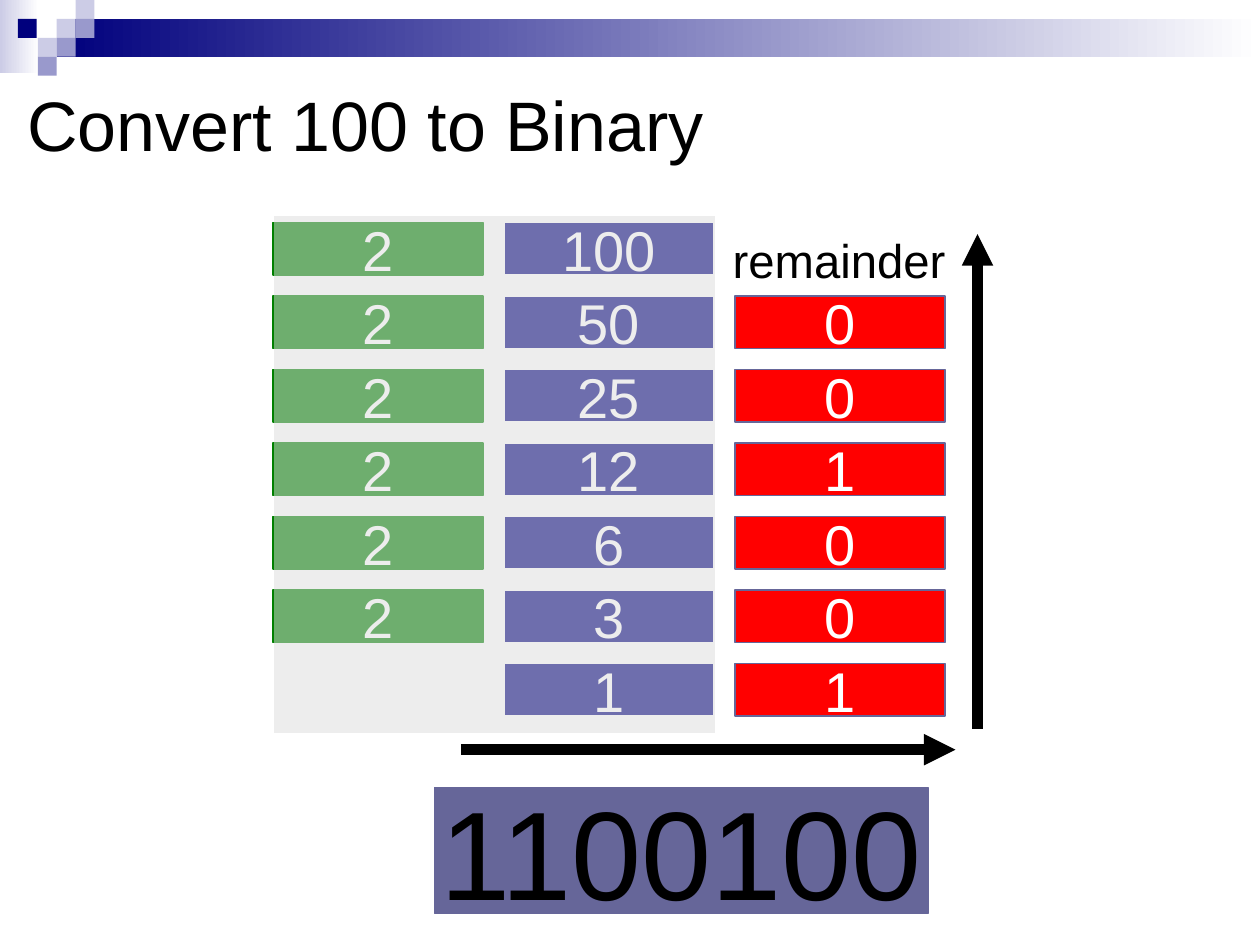
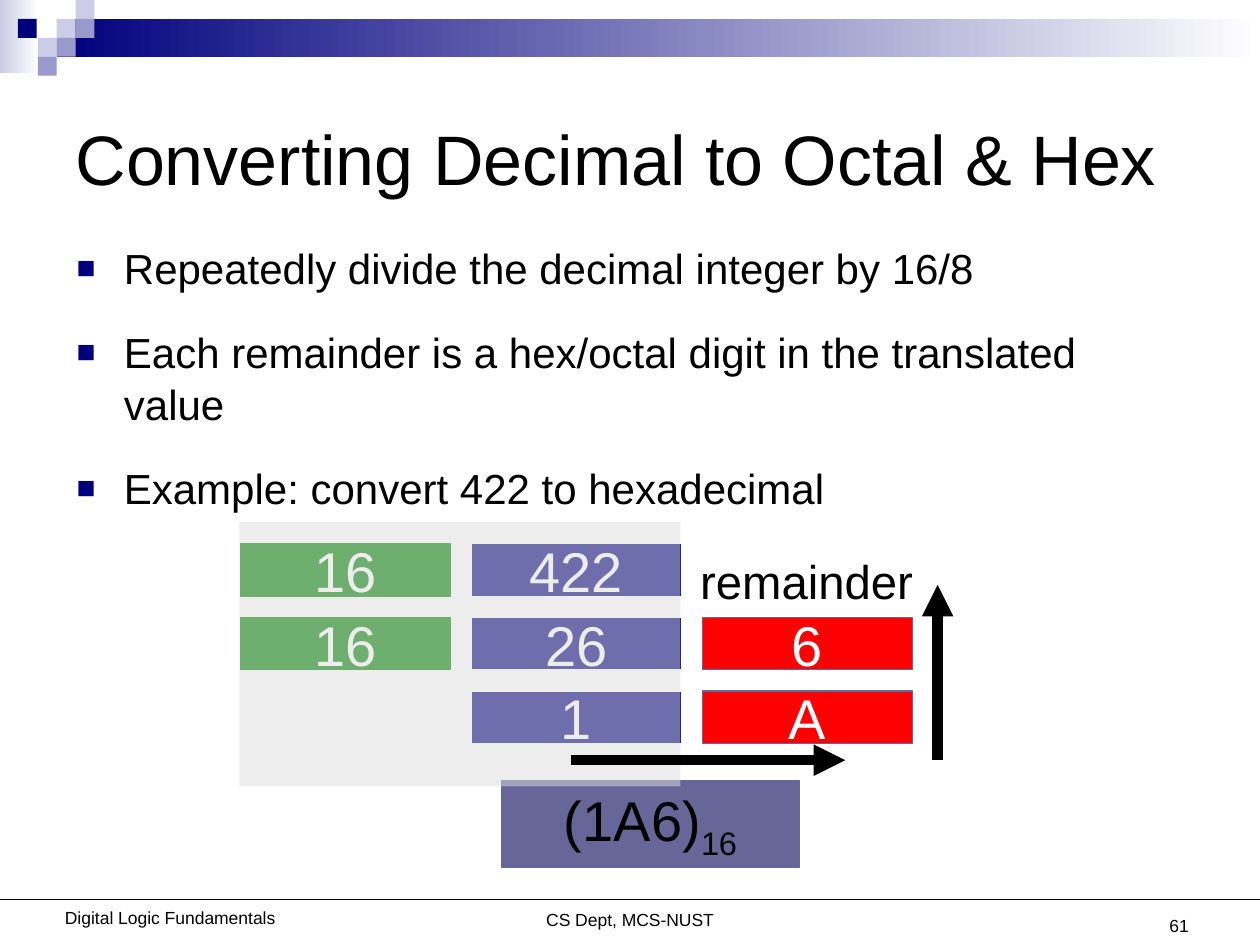
from lxml import etree
from pptx import Presentation
from pptx.dml.color import RGBColor
from pptx.enum.shapes import MSO_CONNECTOR, MSO_SHAPE
from pptx.enum.text import MSO_ANCHOR, MSO_AUTO_SIZE, PP_ALIGN
from pptx.oxml.ns import qn
from pptx.util import Emu, Pt

RECT = MSO_SHAPE.RECTANGLE
LINE = MSO_CONNECTOR.STRAIGHT
LEFT, MID, RIGHT = PP_ALIGN.LEFT, PP_ALIGN.CENTER, PP_ALIGN.RIGHT
PX = 7620  # 120 px to the inch
FONT = "Arial"
DIGITS = "0123456789ABCDEF"
HUES = {
    "navy": "00007D", "lilac": "CCCCE6", "violet": "9999CC", "slate": "666699",
    "green": "008000", "red": "FF0000", "gray": "DDDDDD",
    "white": "FFFFFF", "black": "000000",
}
RGB = {name: RGBColor.from_string(code) for name, code in HUES.items()}

# Decoration: squares on the top band
SIDE = 18
SQUARES = [
    (54, 18, "lilac"), (72, 0, "lilac"), (72, 18, "violet"), (36, 36, "lilac"),
    (17, 18, "navy"), (54, 36, "violet"), (36, 54, "violet"),
]
FADES = [((0, 0, 37, 70), "lilac"), ((54, 18, 1146, 36), "navy")]

# Division grid
CELL_W, CELL_H = 200, 50
COL, ROW = 220, 70

PAGES = [
    {
        "title": "Convert 100 to Binary", "head": (14, 43, 1020, 150),
        "layout": 5, "points": [], "foot": [],
        "number": 100, "base": 2, "grid": (260, 212),
        "veil": (261, 206, 420, 492),
        "result": ("1100100", ""), "size": 72, "panel": (414, 750, 470, 120),
        "arrows": [(439, 714, 910, 714), (931, 694, 931, 223)],
    },
    {
        "title": "Converting Decimal to Octal & Hex", "head": (60, 60, 1080, 180),
        "layout": 1,
        "points": [
            "Repeatedly divide the decimal integer by 16/8",
            "Each remainder is a hex/octal digit in the translated value",
            "Example: convert 422 to hexadecimal",
        ],
        "foot": [
            ("Digital Logic Fundamentals", (42, 858, 240, 32), MID),
            ("CS Dept, MCS-NUST", (350, 860, 500, 32), MID),
            ("61", (864, 866, 280, 32), RIGHT),
        ],
        "number": 422, "base": 16, "grid": (229, 518),
        "veil": (228, 497, 420, 252),
        "result": ("(1A6)", "16"), "size": 32, "panel": (478, 743, 283, 83),
        "arrows": [(544, 724, 805, 724), (893, 724, 893, 557)],
    },
]


def box(slide, place, fill, edge=None):
    shape = slide.shapes.add_shape(RECT, *[Emu(n * PX) for n in place])
    shape.shadow.inherit = False
    shape.fill.solid()
    shape.fill.fore_color.rgb = RGB[fill]
    if edge:
        shape.line.color.rgb = RGB[edge]
        shape.line.width = Pt(0.75)
    else:
        shape.line.fill.background()
    return shape


def write(shape, text, size, hue="black", align=LEFT, wrap=False, sub=""):
    """Set one paragraph of text, with an optional subscript after it."""
    frame = shape.text_frame
    frame.word_wrap = wrap
    frame.auto_size = MSO_AUTO_SIZE.NONE
    para = frame.paragraphs[0]
    para.alignment = align
    for part in filter(None, (text, sub)):
        run = para.add_run()
        run.text = part
        look = {"name": FONT, "size": Pt(size)}
        for key, value in look.items():
            setattr(run.font, key, value)
        run.font.color.rgb = RGB[hue]
    if sub:
        run.font._element.set("baseline", "-25000")


deck = Presentation()
deck.slide_width, deck.slide_height = Emu(1200 * PX), Emu(900 * PX)

for page in PAGES:
    slide = deck.slides.add_slide(deck.slide_layouts[page["layout"]])
    shapes = slide.shapes

    # Top band
    for place, hue in FADES:
        fade = box(slide, place, hue)
        fade.fill.gradient()
        fade.fill.gradient_angle = 0
        for stop, tint in zip(fade.fill.gradient_stops, (hue, "white")):
            stop.color.rgb = RGB[tint]
    for x, y, hue in SQUARES:
        box(slide, (x, y, SIDE, SIDE), hue)

    # Title
    title = shapes.title
    title.left, title.top, title.width, title.height = [Emu(n * PX) for n in page["head"]]
    write(title, page["title"], 40, wrap=True)
    title.text_frame.vertical_anchor = MSO_ANCHOR.MIDDLE

    # Bullet list
    if page["points"]:
        body = slide.placeholders[1]
        body.left, body.top, body.width, body.height = [
            Emu(n * PX) for n in (61, 223, 1080, 510)]
        frame = body.text_frame
        frame.auto_size = MSO_AUTO_SIZE.NONE
        for i, point in enumerate(page["points"]):
            para = frame.add_paragraph() if i else frame.paragraphs[0]
            props = para._p.get_or_add_pPr()
            props.set("marL", str(45 * PX))
            props.set("indent", str(-45 * PX))
            tint = etree.SubElement(props, qn("a:buClr"))
            etree.SubElement(tint, qn("a:srgbClr"), val=HUES["navy"])
            etree.SubElement(props, qn("a:buSzPct"), val="75000")
            etree.SubElement(props, qn("a:buFont"), typeface=FONT)
            etree.SubElement(props, qn("a:buChar"), char="■")
            look = {"line_spacing": 1.04, "space_before": Pt(18 if i else 0), "text": point}
            for key, value in look.items():
                setattr(para, key, value)
            para.font.name, para.font.size = FONT, Pt(24)
            para.font.color.rgb = RGB["black"]

    # Footer
    if page["foot"]:
        rule = shapes.add_connector(LINE, 0, Emu(857 * PX), deck.slide_width, Emu(857 * PX))
        rule.line.color.rgb = RGB["black"]
        rule.line.width = Pt(0.75)
        etree.SubElement(rule._element.spPr, qn("a:effectLst"))
    for text, place, align in page["foot"]:
        note = shapes.add_textbox(*[Emu(n * PX) for n in place])
        write(note, text, 10, align=align, wrap=True)

    # Repeated division: divisor, dividend, remainder of the row above
    left, top = page["grid"]
    number, base, rest = page["number"], page["base"], None
    y = top
    while number:
        cells = [(1, str(number), "navy", "white")]
        if rest is not None:
            cells.append((2, DIGITS[rest], "red", "slate"))
        if number >= base:
            cells.append((0, str(base), "green", "green"))
        for col, text, fill, edge in cells:
            cell = box(slide, (left + col * COL, y, CELL_W, CELL_H), fill, edge)
            write(cell, text, 32, "white", MID)
        number, rest = divmod(number, base)
        y += ROW

    label = shapes.add_textbox(*[Emu(n * PX) for n in (left + 426, top + 2, 227, 66)])
    write(label, "remainder", 27)

    # Result, veil and reading direction
    text, sub = page["result"]
    panel = box(slide, page["panel"], "slate", "slate")
    write(panel, text, page["size"], align=MID, sub=sub)

    veil = box(slide, page["veil"], "gray")
    tint = veil._element.spPr.find(qn("a:solidFill"))[0]
    etree.SubElement(tint, qn("a:alpha"), val="50000")

    for ends in page["arrows"]:
        arrow = shapes.add_connector(LINE, *[Emu(n * PX) for n in ends])
        arrow.line.color.rgb = RGB["black"]
        arrow.line.width = Pt(6)
        etree.SubElement(arrow.line._get_or_add_ln(), qn("a:tailEnd"), type="triangle")
        etree.SubElement(arrow._element.spPr, qn("a:effectLst"))

deck.save("out.pptx")
